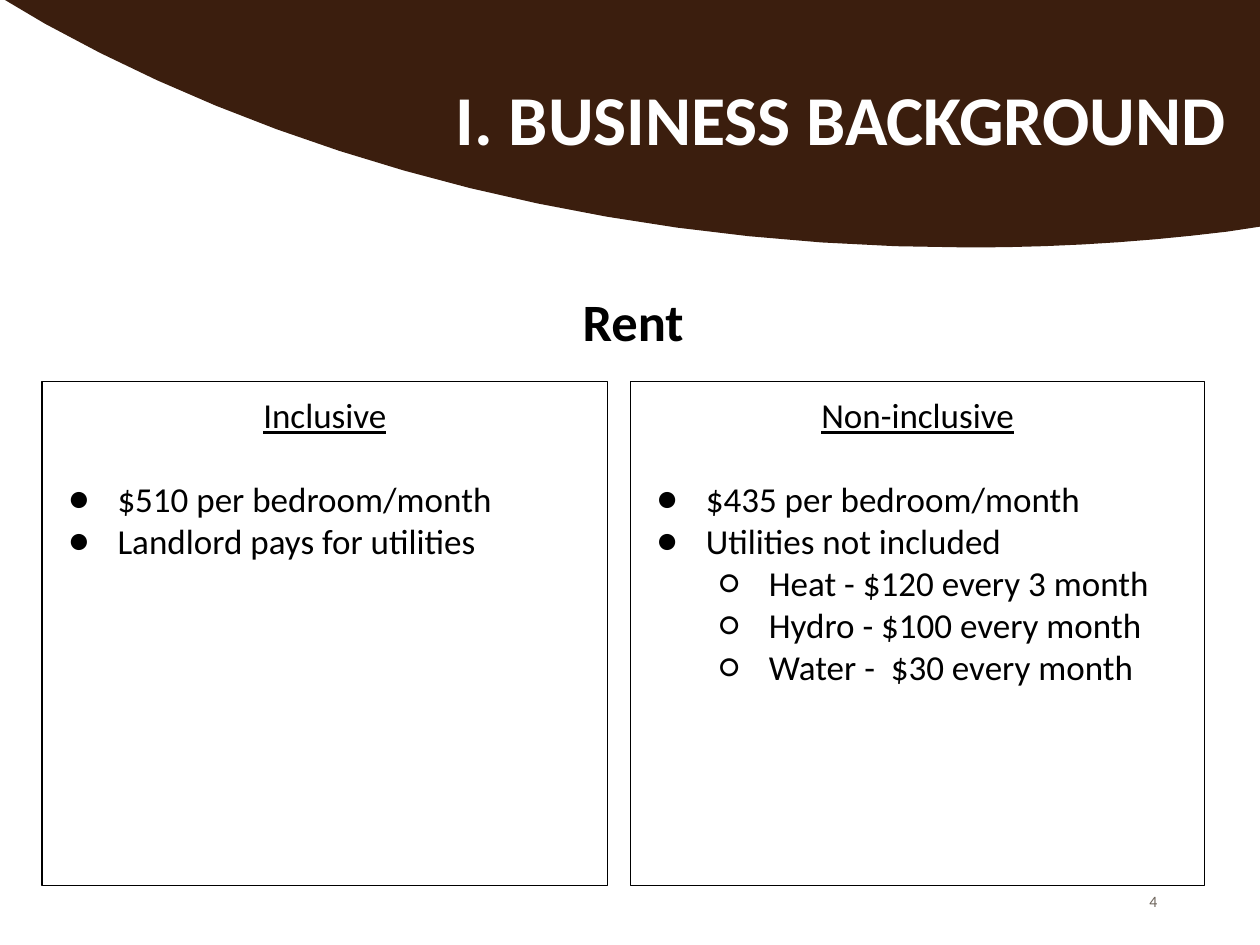
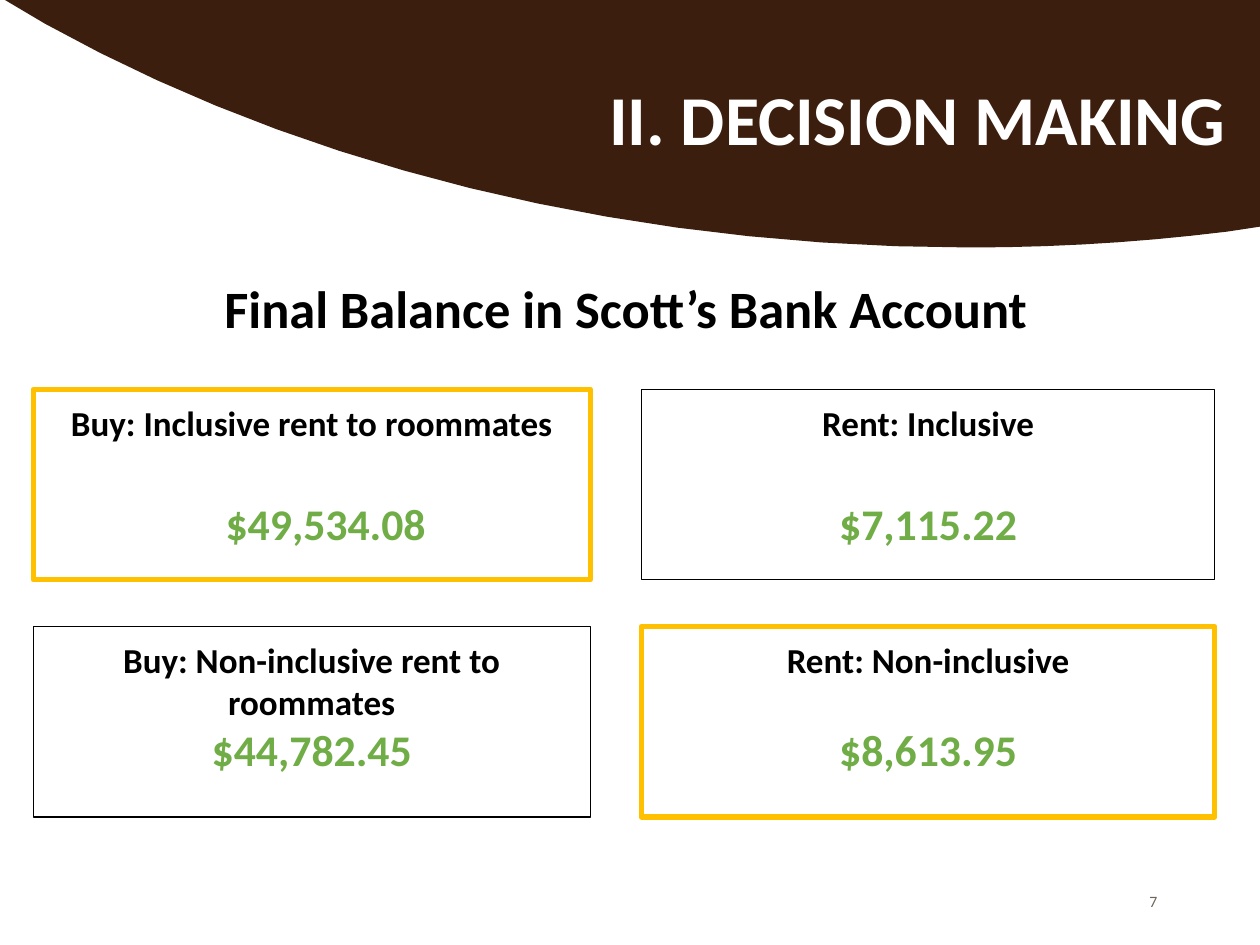
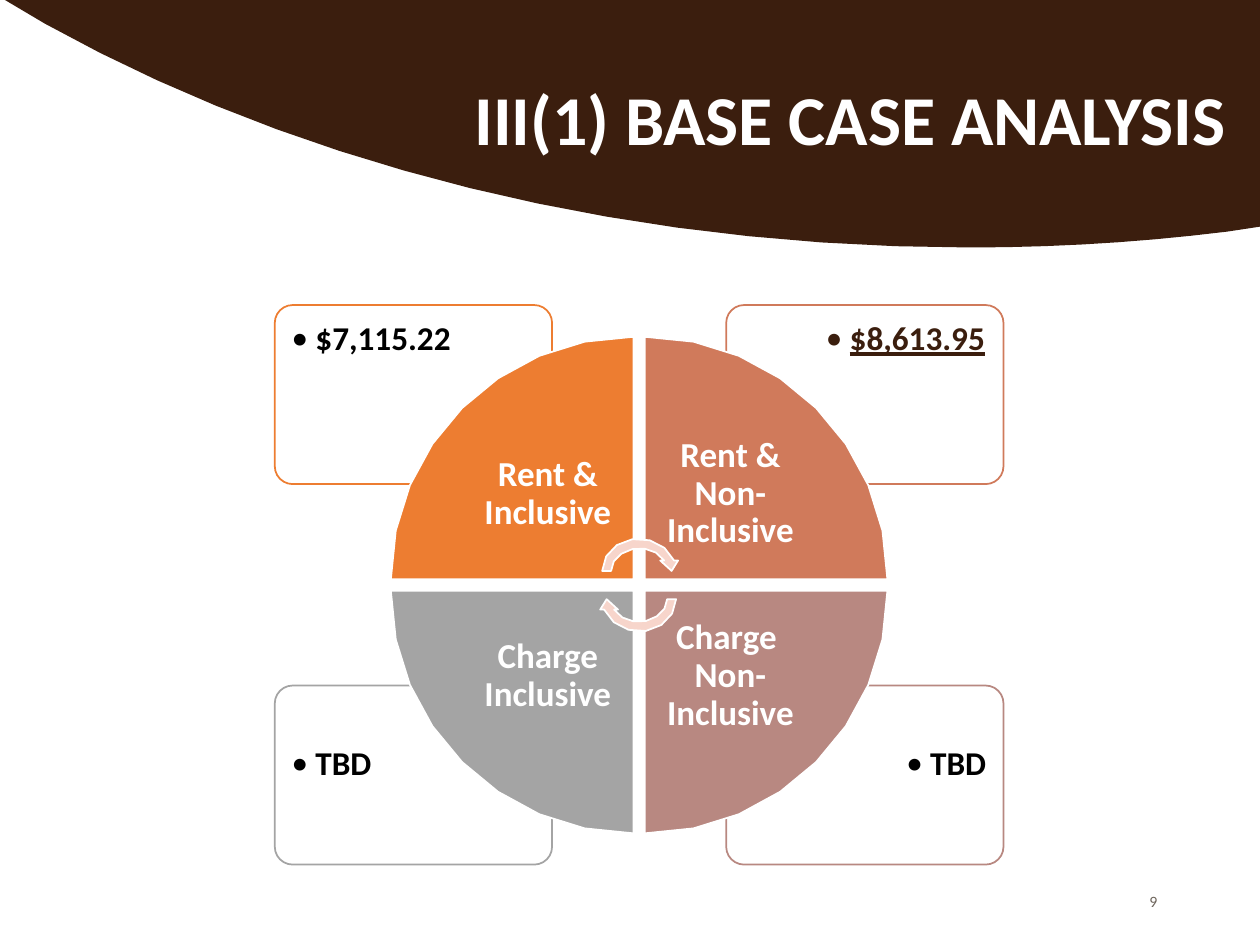
import math
from dataclasses import dataclass
from typing import Any, Optional

from lxml import etree
from pptx import Presentation
from pptx import util as u
from pptx.dml.color import RGBColor
from pptx.enum import shapes, text
from pptx.oxml import ns

BROWN = RGBColor(0x3B, 0x1E, 0x0E)
TAUPE = RGBColor(0x6D, 0x64, 0x5B)
BLACK = RGBColor(0, 0, 0)
WHITE = RGBColor(255, 255, 255)
GOLD = RGBColor(0xFF, 0xC0, 0x00)
GREEN = RGBColor(0x70, 0xAD, 0x47)
ORANGE = RGBColor(0xED, 0x7D, 0x31)
CLAY = RGBColor(0xD0, 0x7A, 0x5B)
GRAY = RGBColor(0xA4, 0xA4, 0xA4)
ROSE = RGBColor(0xB8, 0x88, 0x81)
PINK = RGBColor(0xF7, 0xD5, 0xCB)

FONT = "Calibri"
LEFT, CENTER, RIGHT = text.PP_ALIGN.LEFT, text.PP_ALIGN.CENTER, text.PP_ALIGN.RIGHT
TOP, MIDDLE = text.MSO_ANCHOR.TOP, text.MSO_ANCHOR.MIDDLE
TITLE_RIGHT = 25.73
ARC = 0.55

Point = tuple[float, float]
Segment = tuple[Point, ...]


@dataclass(frozen=True)
class Box:
    left: float
    top: float
    width: float
    height: float

    def lengths(self) -> tuple[u.Length, ...]:
        return u.Cm(self.left), u.Cm(self.top), u.Cm(self.width), u.Cm(self.height)


@dataclass(frozen=True)
class RentPlan:
    heading: str
    box: Box
    points: tuple[tuple[str, int], ...]


@dataclass(frozen=True)
class Balance:
    heading: str
    amount: str
    column: int
    row: int
    gap: float = 0
    indent: float = 0
    best: bool = False


@dataclass(frozen=True)
class Quadrant:
    label: str
    value: str
    color: RGBColor
    column: int
    row: int
    align: Any = LEFT
    value_color: RGBColor = BLACK
    underline: bool = False


BAND: tuple[Segment, ...] = (
    ((0.1, 0),),
    ((25.4, 0),),
    ((25.4, 4.57),),
    ((24.74, 4.67),),
    ((23.06, 4.88), (21.31, 4.99), (19.56, 4.99)),
    ((12.47, 4.99), (5.97, 3.3), (0.91, 0.48)),
)

CYCLE_ARROW: tuple[Segment, ...] = (
    ((12.14, 11.51),),
    ((12.14, 11.2), (12.4, 10.92), (12.75, 10.87)),
    ((13.11, 10.82), (13.46, 11), (13.59, 11.3)),
    ((13.67, 11.3),),
    ((13.54, 11.51),),
    ((13.31, 11.3),),
    ((13.39, 11.3),),
    ((13.26, 11.1), (13, 11.02), (12.75, 11.07)),
    ((12.5, 11.13), (12.32, 11.3), (12.32, 11.51)),
)

RENT_PLANS = (
    RentPlan("Inclusive", Box(0.85, 7.69, 11.4, 10.16), (
        ("$510 per bedroom/month", 0),
        ("Landlord pays for utilities", 0),
    )),
    RentPlan("Non-inclusive", Box(12.71, 7.69, 11.58, 10.16), (
        ("$435 per bedroom/month", 0),
        ("Utilities not included", 0),
        ("Heat - $120 every 3 month", 1),
        ("Hydro - $100 every month", 1),
        ("Water -  $30 every month", 1),
    )),
)

BALANCES = (
    Balance("Buy: Inclusive rent to roommates", "$49,534.08", 0, 0, 30.5, 0.56, True),
    Balance("Buy: Non-inclusive rent to roommates", "$44,782.45", 0, 1),
    Balance("Rent: Inclusive", "$7,115.22", 1, 0, 30.5),
    Balance("Rent: Non-inclusive", "$8,613.95", 1, 1, 24, best=True),
)

QUADRANTS = (
    Quadrant("Charge  Non- Inclusive", "TBD", ROSE, 1, 1, RIGHT),
    Quadrant("Charge Inclusive", "TBD", GRAY, 0, 1),
    Quadrant("Rent & Non- Inclusive", "$8,613.95", CLAY, 1, 0,
             value_color=BROWN, underline=True),
    Quadrant("Rent & Inclusive", "$7,115.22", ORANGE, 0, 0),
)


def add_text(frame: Any, content: str, *, size: float = 20, color: RGBColor = BLACK,
             bold: bool = False, underline: bool = False, align: Any = LEFT,
             before: float = 0, spacing: float = 1, bullet: Optional[str] = None,
             level: int = 0, margin: float = 0, hanging: float = 0) -> None:
    paragraph = frame.paragraphs[0] if not frame.text else frame.add_paragraph()
    paragraph.alignment = align
    paragraph.level = level
    paragraph.space_before = u.Pt(before)
    paragraph.line_spacing = spacing
    run = paragraph.add_run()
    run.text = content
    run.font.name = FONT
    run.font.size = u.Pt(size)
    run.font.bold = bold
    run.font.underline = underline
    run.font.color.rgb = color
    properties = paragraph._p.get_or_add_pPr()
    properties.set("marL", str(u.Cm(margin)))
    properties.set("indent", str(-u.Cm(hanging)))
    if bullet:
        bullet_color = etree.SubElement(properties, ns.qn("a:buClr"))
        etree.SubElement(bullet_color, ns.qn("a:srgbClr"), val=str(color))
        etree.SubElement(properties, ns.qn("a:buFont"), typeface=FONT)
        etree.SubElement(properties, ns.qn("a:buChar"), char=bullet)


def set_frame(shape: Any, *, anchor: Any = TOP, side: float = 0.25,
              end: float = 0.25, right: Optional[float] = None) -> Any:
    frame = shape.text_frame
    frame.word_wrap = True
    frame.vertical_anchor = anchor
    frame.margin_left = u.Cm(side)
    frame.margin_right = u.Cm(side if right is None else right)
    frame.margin_top = frame.margin_bottom = u.Cm(end)
    return frame


def add_text_box(slide: Any, box: Box, **layout: Any) -> Any:
    return set_frame(slide.shapes.add_textbox(*box.lengths()), **layout)


def style_shape(shape: Any, *, fill: Optional[RGBColor] = None,
                line: Optional[RGBColor] = None, width: float = 1,
                opacity: int = 100) -> None:
    shape.shadow.inherit = False
    if fill is None:
        shape.fill.background()
    else:
        shape.fill.solid()
        shape.fill.fore_color.rgb = fill
    if opacity < 100:
        fill_color = shape._element.spPr.find(ns.qn("a:solidFill"))[0]
        etree.SubElement(fill_color, ns.qn("a:alpha"), val=str(opacity * 1000))
    if line is None:
        shape.line.fill.background()
    else:
        shape.line.color.rgb = line
        shape.line.width = u.Pt(width)


def add_frame_box(slide: Any, box: Box, line: RGBColor, width: float) -> Any:
    shape = slide.shapes.add_shape(shapes.MSO_SHAPE.RECTANGLE, *box.lengths())
    style_shape(shape, line=line, width=width)
    return set_frame(shape)


def curve_points(start: Point, segment: Segment) -> list[Point]:
    controls = (start, *segment)
    weights = (1, 3, 3, 1)
    steps = math.ceil(3 * math.sqrt(math.dist(start, segment[-1])))
    points = []
    for step in range(1, steps + 1):
        t = step / steps
        factors = [w * (1 - t) ** (3 - i) * t ** i for i, w in enumerate(weights)]
        points.append((sum(f * x for f, (x, _) in zip(factors, controls)),
                       sum(f * y for f, (_, y) in zip(factors, controls))))
    return points


def add_outline(slide: Any, segments: tuple[Segment, ...], fill: RGBColor,
                line: Optional[RGBColor] = None) -> None:
    points = [segments[0][0]]
    for segment in segments[1:]:
        points += curve_points(points[-1], segment) if len(segment) == 3 else segment
    vertices = [(u.Cm(x), u.Cm(y)) for x, y in points]
    builder = slide.shapes.build_freeform(*vertices[0], scale=1.0)
    builder.add_line_segments(vertices[1:], close=True)
    style_shape(builder.convert_to_shape(), fill=fill, line=line)


def add_slide(presentation: Any, title: str, title_width: float, number: int) -> Any:
    slide = presentation.slides.add_slide(presentation.slide_layouts[6])
    add_outline(slide, BAND, BROWN)
    frame = add_text_box(slide, Box(17.86, 17.65, 5.72, 1.02), anchor=MIDDLE, end=0.13)
    add_text(frame, str(number), size=9, color=TAUPE, align=RIGHT)
    title_box = Box(TITLE_RIGHT - title_width, 0.93, title_width, 3.1)
    frame = add_text_box(slide, title_box, anchor=MIDDLE, end=0.13, right=1.02)
    add_text(frame, title, size=40, color=WHITE, bold=True, align=RIGHT, spacing=0.9)
    return slide


def add_heading(slide: Any, heading: str, box: Box) -> None:
    add_text(add_text_box(slide, box), heading, size=30, bold=True, align=CENTER)


def add_rent_plan(slide: Any, plan: RentPlan) -> None:
    frame = add_frame_box(slide, plan.box, BLACK, 0.75)
    add_text(frame, plan.heading, underline=True, align=CENTER)
    for index, (point, level) in enumerate(plan.points):
        add_text(frame, point, bullet="●○"[level], level=level, hanging=0.99,
                 margin=1.27 * (level + 1), before=0 if index else 24)


def add_balance(slide: Any, balance: Balance) -> None:
    left, width = ((0.67, 11.23), (12.93, 11.56))[balance.column]
    box = Box(left, 7.85 + 4.78 * balance.row, width, 3.84)
    line, line_width = (GOLD, 3) if balance.best else (BLACK, 0.75)
    frame = add_frame_box(slide, box, line, line_width)
    add_text(frame, balance.heading, bold=True, align=CENTER)
    add_text(frame, balance.amount, size=25, color=GREEN, bold=True, align=CENTER,
             before=balance.gap, margin=balance.indent)


def add_value_card(slide: Any, quadrant: Quadrant) -> None:
    left, top = (5.54, 14.64)[quadrant.column], (6.15, 13.82)[quadrant.row]
    card = slide.shapes.add_shape(shapes.MSO_SHAPE.ROUNDED_RECTANGLE,
                                  *Box(left, top, 5.59, 3.61).lengths())
    card.adjustments[0] = 0.1
    style_shape(card, fill=WHITE, line=quadrant.color, opacity=90)
    value_box = Box(left + (0.09, 1.76)[quadrant.column],
                    top + (0.09, 0.99)[quadrant.row], 3.73, 2.54)
    add_text(add_text_box(slide, value_box), quadrant.value, size=19, bold=True,
             color=quadrant.value_color, underline=quadrant.underline,
             align=quadrant.align, spacing=0.9, bullet="•", level=1,
             margin=0.48, hanging=0.48)


def add_quarter(slide: Any, quadrant: Quadrant) -> None:
    radius, side = 4.89, 3.45
    x, y = (12.77, 13)[quadrant.column], (11.68, 11.91)[quadrant.row]
    across, down = (-radius, radius)[quadrant.column], (-radius, radius)[quadrant.row]
    add_outline(slide, (
        ((x, y),),
        ((x + across, y),),
        ((x + across, y + ARC * down), (x + ARC * across, y + down), (x, y + down)),
    ), quadrant.color, WHITE)
    label_box = Box(x - side * (1 - quadrant.column), y - side * (1 - quadrant.row),
                    side, side)
    frame = add_text_box(slide, label_box, anchor=MIDDLE, side=0.41, end=0.41)
    add_text(frame, quadrant.label, color=WHITE, bold=True, align=CENTER, spacing=0.9)


def add_cycle_arrows(slide: Any) -> None:
    opposite = tuple(tuple((25.77 - x, 23.59 - y) for x, y in segment)
                     for segment in CYCLE_ARROW)
    for outline in (CYCLE_ARROW, opposite):
        add_outline(slide, outline, PINK, WHITE)


def main() -> None:
    presentation = Presentation()
    presentation.slide_width, presentation.slide_height = u.Cm(25.4), u.Cm(19.05)

    slide = add_slide(presentation, "I. BUSINESS BACKGROUND", 18.92, 4)
    for plan in RENT_PLANS:
        add_rent_plan(slide, plan)
    add_heading(slide, "Rent", Box(2.39, 5.58, 20.75, 1.75))

    slide = add_slide(presentation, "II. DECISION MAKING", 15.11, 7)
    add_heading(slide, "Final Balance in Scott’s Bank Account",
                Box(0.33, 5.31, 24.59, 1.57))
    for balance in BALANCES:
        add_balance(slide, balance)

    slide = add_slide(presentation, "III(1) BASE CASE ANALYSIS", 16.43, 9)
    for quadrant in QUADRANTS:
        add_value_card(slide, quadrant)
    for quadrant in QUADRANTS:
        add_quarter(slide, quadrant)
    add_cycle_arrows(slide)

    presentation.save("out.pptx")


if __name__ == "__main__":
    main()
